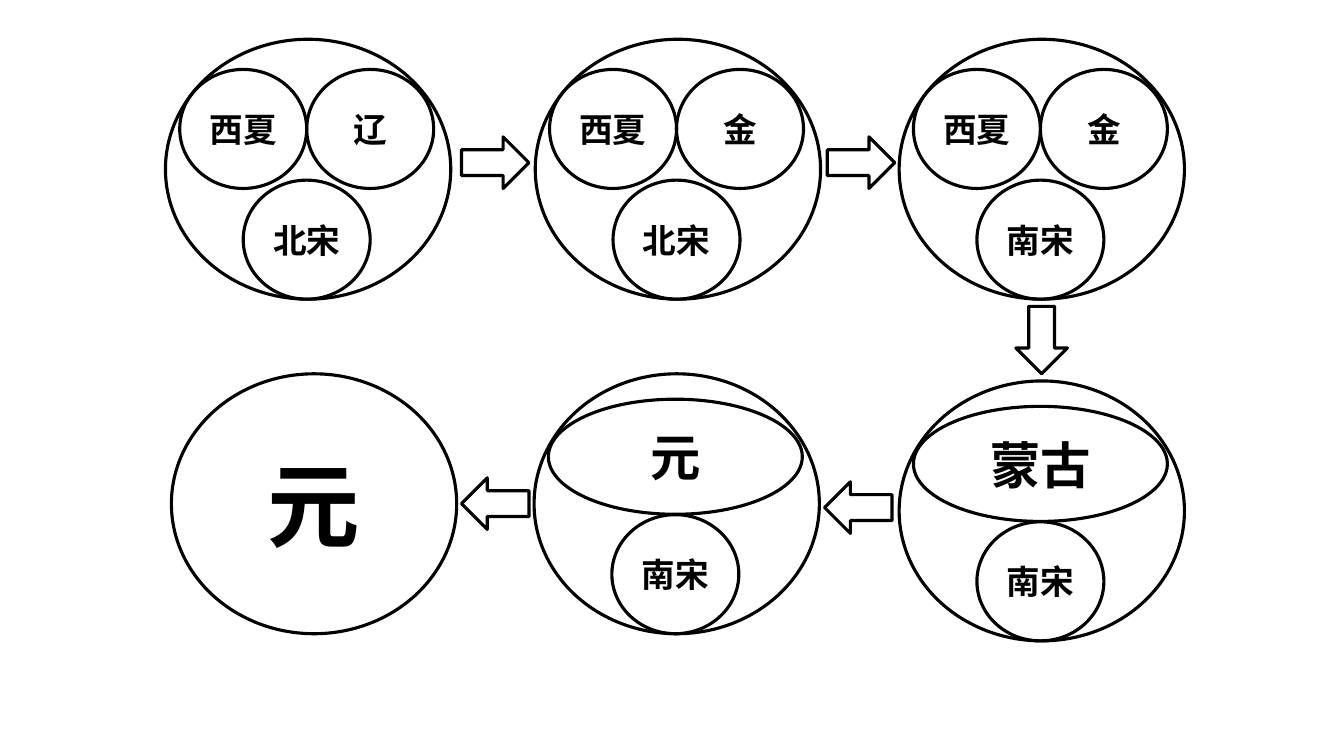
import dataclasses

import lxml.etree
import pptx
import pptx.dml.color
import pptx.enum.shapes
import pptx.enum.text
import pptx.oxml.ns
import pptx.util

Cm = pptx.util.Cm
Pt = pptx.util.Pt
MSO_SHAPE = pptx.enum.shapes.MSO_SHAPE


@dataclasses.dataclass(frozen=True)
class Theme:
    ink: pptx.dml.color.RGBColor = pptx.dml.color.RGBColor(0, 0, 0)
    font: str = "Noto Sans CJK SC"
    line: float = 2.25
    small: int = 24
    medium: int = 36
    large: int = 66


class Diagram:
    world_size = (7.19, 6.55)
    state_size = (3.2, 3.0)
    wide_size = (6.4, 2.9)
    arrow_size = (1.7, 1.3)
    south_offset = (1.96, 3.55)
    west_offset = (0.36, 0.76)
    east_offset = (3.56, 0.76)
    wide_offset = (0.36, 0.64)

    def __init__(self, slide, theme):
        self.slide = slide
        self.theme = theme

    def outline(self, shapes, kind, left, top, size):
        s = shapes.add_shape(kind, Cm(left), Cm(top), Cm(size[0]), Cm(size[1]))
        s.shadow.inherit = False
        s.fill.background()
        s.line.color.rgb = self.theme.ink
        s.line.width = Pt(self.theme.line)
        return s

    def oval(self, shapes, left, top, size, text="", points=None):
        s = self.outline(shapes, MSO_SHAPE.OVAL, left, top, size)
        if text:
            self.label(s.text_frame, text, points)

    def label(self, tf, text, points):
        tf.text = text
        tf.word_wrap = True
        tf.margin_left = tf.margin_right = Cm(0)
        tf.vertical_anchor = pptx.enum.text.MSO_ANCHOR.MIDDLE
        p = tf.paragraphs[0]
        p.alignment = pptx.enum.text.PP_ALIGN.CENTER
        r = p.runs[0]
        r.font.size = Pt(points)
        r.font.bold = True
        r.font.color.rgb = self.theme.ink
        r.font.name = self.theme.font
        ea = lxml.etree.SubElement(r.font._element, pptx.oxml.ns.qn("a:ea"))
        ea.set("typeface", self.theme.font)

    def world(self, left, top, south, states):
        shapes = self.slide.shapes.add_group_shape().shapes
        small = self.theme.small
        parts = [(south, self.south_offset, self.state_size, small)]
        if len(states) == 1:
            parts.append((states[0], self.wide_offset, self.wide_size, self.theme.medium))
        else:
            for name, offset in zip(states, (self.west_offset, self.east_offset)):
                parts.append((name, offset, self.state_size, small))
        for name, (dx, dy), size, points in parts:
            self.oval(shapes, left + dx, top + dy, size, name, points)
        self.oval(shapes, left, top, self.world_size)

    def united(self, left, top, name):
        self.oval(self.slide.shapes, left, top, self.world_size, name, self.theme.large)

    def arrow(self, left, top, rotation):
        s = self.outline(self.slide.shapes, MSO_SHAPE.RIGHT_ARROW, left, top, self.arrow_size)
        s.rotation = rotation


WORLDS = [
    (4.17, 0.99, "北宋", ["西夏", "辽"]),
    (13.49, 0.99, "北宋", ["西夏", "金"]),
    (22.66, 0.99, "南宋", ["西夏", "金"]),
    (22.66, 9.6, "南宋", ["蒙古"]),
    (13.46, 9.42, "南宋", ["元"]),
]
ARROWS = [
    (11.63, 3.45, 0),
    (20.85, 3.45, 0),
    (25.4, 7.92, 90),
    (20.78, 12.14, 180),
    (11.63, 12.04, 180),
]


def main():
    prs = pptx.Presentation()
    prs.slide_width = Cm(33.87)
    prs.slide_height = Cm(19.05)
    diagram = Diagram(prs.slides.add_slide(prs.slide_layouts[6]), Theme())
    for world in WORLDS:
        diagram.world(*world)
    diagram.united(4.32, 9.42, "元")
    for arrow in ARROWS:
        diagram.arrow(*arrow)
    prs.save("out.pptx")


if __name__ == "__main__":
    main()
